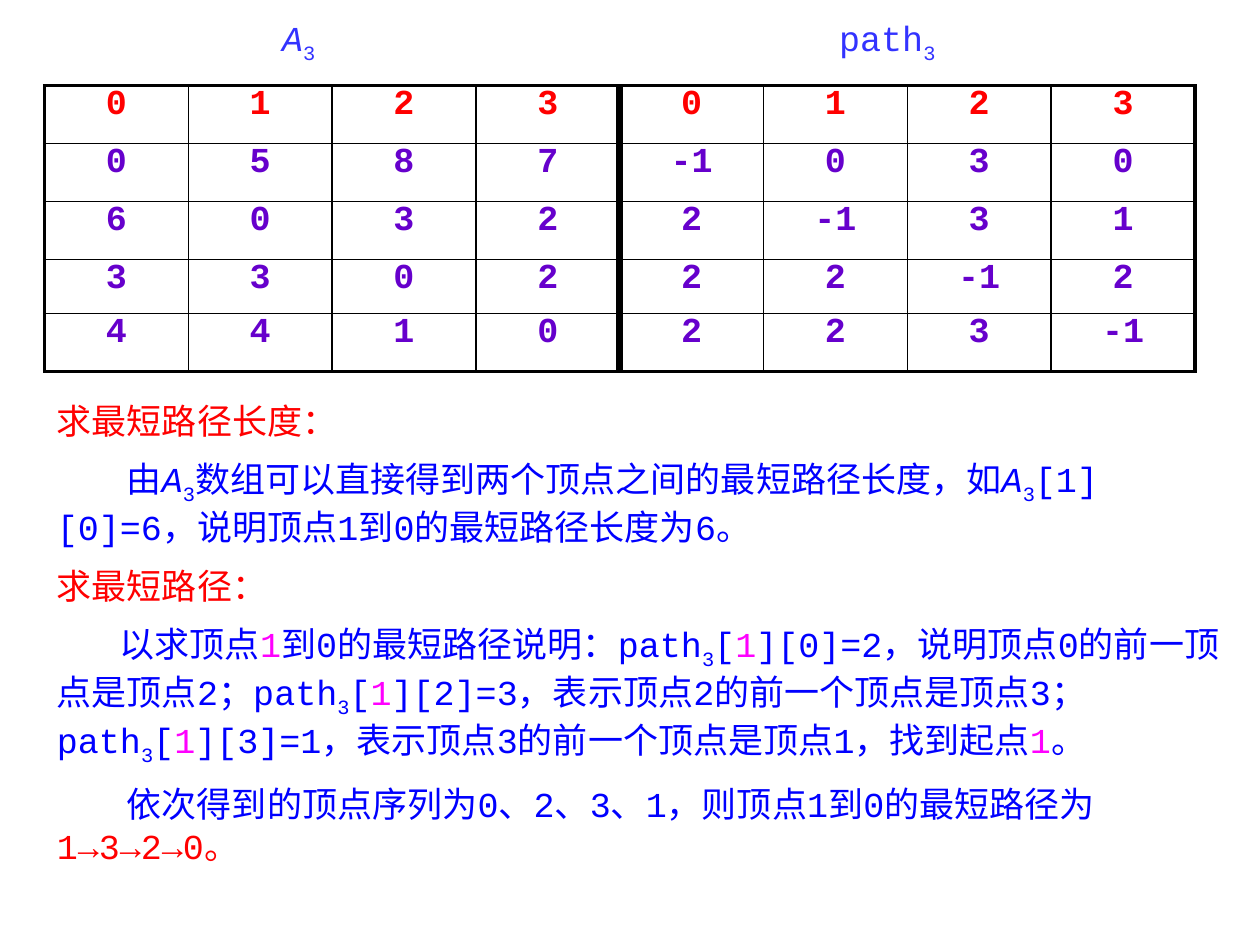
import pptx
import pptx.dml.color
import pptx.enum.text
import pptx.oxml.ns
import pptx.util
from lxml import etree

Pt = pptx.util.Pt
FONT = "Courier New"
SIZE = 20
COLORS = {
    "heading": "FF0000",
    "body": "0000FF",
    "start": "FF00FF",
    "caption": "3333FF",
    "value": "6600CC",
    "border": "000000",
}

# Content: spans are (text, color name, form)
LENGTH_NAME = [("A", "body", "italic"), ("3", "body", "sub")]
PATH_INDEX = [("path", "body", ""), ("3", "body", "sub"), ("[", "body", ""), ("1", "start", "")]

# Paragraphs are (first-line indent, spans)
EXPLANATION = [
    (0, [("求最短路径长度：", "heading", "")]),
    (40, [("由", "body", ""), *LENGTH_NAME,
          ("数组可以直接得到两个顶点之间的最短路径长度，如", "body", ""), *LENGTH_NAME,
          ("[1][0]=6，说明顶点1到0的最短路径长度为6。", "body", "")]),
    (0, [("求最短路径：", "heading", "")]),
    (36, [("以求顶点", "body", ""), ("1", "start", ""),
          ("到0的最短路径说明：", "body", ""), *PATH_INDEX,
          ("][0]=2，说明顶点0的前一顶点是顶点2；", "body", ""), *PATH_INDEX,
          ("][2]=3，表示顶点2的前一个顶点是顶点3；", "body", ""), *PATH_INDEX,
          ("][3]=1，表示顶点3的前一个顶点是顶点1，找到起点", "body", ""),
          ("1", "start", ""), ("。", "body", "")]),
    (40, [("依次得到的顶点序列为0、2、3、1，则顶点1到0的最短路径为", "body", ""),
          ("1→3→2→0。", "heading", "")]),
]

# Captions are (left, width, paragraphs)
CAPTIONS = [
    (161.3, 45.4, [(0, [("A", "caption", "italic"), ("3", "caption", "sub")])]),
    (479.5, 67.7, [(0, [("path", "caption", ""), ("3", "caption", "sub")])]),
]

VERTICES = [0, 1, 2, 3]
LENGTHS = [[0, 5, 8, 7], [6, 0, 3, 2], [3, 3, 0, 2], [4, 4, 1, 0]]
PATHS = [[-1, 0, 3, 0], [2, -1, 3, 1], [2, 2, -1, 2], [2, 2, 3, -1]]
TABLE_ROWS = [VERTICES * 2] + [left + right for left, right in zip(LENGTHS, PATHS)]
ROW_HEIGHTS = [33.1, 33.1, 33.1, 31, 33.1]
COLUMN_WIDTH = 82.2
THIN, OUTER, DIVIDER = 1, 2.25, 4.5


def rgb(name):
    return pptx.dml.color.RGBColor.from_string(COLORS[name])


def add_text(slide, left, top, width, height, paragraphs, inset=(0, 0), wrap=False):
    box = slide.shapes.add_textbox(Pt(left), Pt(top), Pt(width), Pt(height))
    frame = box.text_frame
    frame.word_wrap = wrap
    frame.auto_size = pptx.enum.text.MSO_AUTO_SIZE.SHAPE_TO_FIT_TEXT
    frame.margin_left = frame.margin_right = Pt(inset[0])
    frame.margin_top = frame.margin_bottom = Pt(inset[1])
    for number, (indent, spans) in enumerate(paragraphs):
        para = frame.add_paragraph() if number else frame.paragraphs[0]
        para.font.name = FONT
        para.font.size = Pt(SIZE)
        if number:
            para.space_before = Pt(9.5)
        if indent:
            para._p.get_or_add_pPr().set("indent", str(Pt(indent)))
        for text, color, form in spans:
            span = para.add_run()
            span.text = text
            span.font.color.rgb = rgb(color)
            if form == "italic":
                span.font.italic = True
            elif form == "sub":
                span.font._element.set("baseline", "-25000")


def set_borders(cell, widths):
    properties = cell._tc.get_or_add_tcPr()
    for side, width in widths.items():
        line = etree.SubElement(properties, pptx.oxml.ns.qn(f"a:ln{side}"), w=str(Pt(width)))
        fill = etree.SubElement(line, pptx.oxml.ns.qn("a:solidFill"))
        etree.SubElement(fill, pptx.oxml.ns.qn("a:srgbClr"), val=COLORS["border"])


def add_matrices(slide):
    row_count, column_count = len(TABLE_ROWS), len(TABLE_ROWS[0])
    table = slide.shapes.add_table(
        row_count, column_count, Pt(25.4), Pt(49),
        Pt(COLUMN_WIDTH * column_count), Pt(sum(ROW_HEIGHTS))).table
    table.first_row = table.horz_banding = False
    for column in table.columns:
        column.width = Pt(COLUMN_WIDTH)
    # Widths of the grid lines, from the first edge to the last
    vertical = [THIN] * (column_count + 1)
    vertical[0] = vertical[-1] = OUTER
    vertical[column_count // 2] = DIVIDER
    horizontal = [OUTER] + [THIN] * (row_count - 1) + [OUTER]
    for r, values in enumerate(TABLE_ROWS):
        table.rows[r].height = Pt(ROW_HEIGHTS[r])
        for c, value in enumerate(values):
            cell = table.cell(r, c)
            cell.margin_left = cell.margin_right = cell.margin_top = cell.margin_bottom = 0
            set_borders(cell, {"L": vertical[c], "R": vertical[c + 1],
                               "T": horizontal[r], "B": horizontal[r + 1]})
            cell.fill.background()
            cell.text = str(value)
            para = cell.text_frame.paragraphs[0]
            para.alignment = pptx.enum.text.PP_ALIGN.CENTER
            para.font.name = FONT
            para.font.size = Pt(SIZE)
            para.font.bold = True
            para.font.color.rgb = rgb("value" if r else "heading")


def main():
    deck = pptx.Presentation()
    deck.slide_width, deck.slide_height = Pt(720), Pt(540)
    slide = deck.slides.add_slide(deck.slide_layouts[6])
    # Explanation below the matrices
    add_text(slide, 25.4, 224.6, 686, 263, EXPLANATION, inset=(7.2, 3.6), wrap=True)
    # Length and path matrices side by side
    add_matrices(slide)
    # Matrix names
    for left, width, paragraphs in CAPTIONS:
        add_text(slide, left, 9.4, width, 24.5, paragraphs)
    deck.save("out.pptx")


if __name__ == "__main__":
    main()
